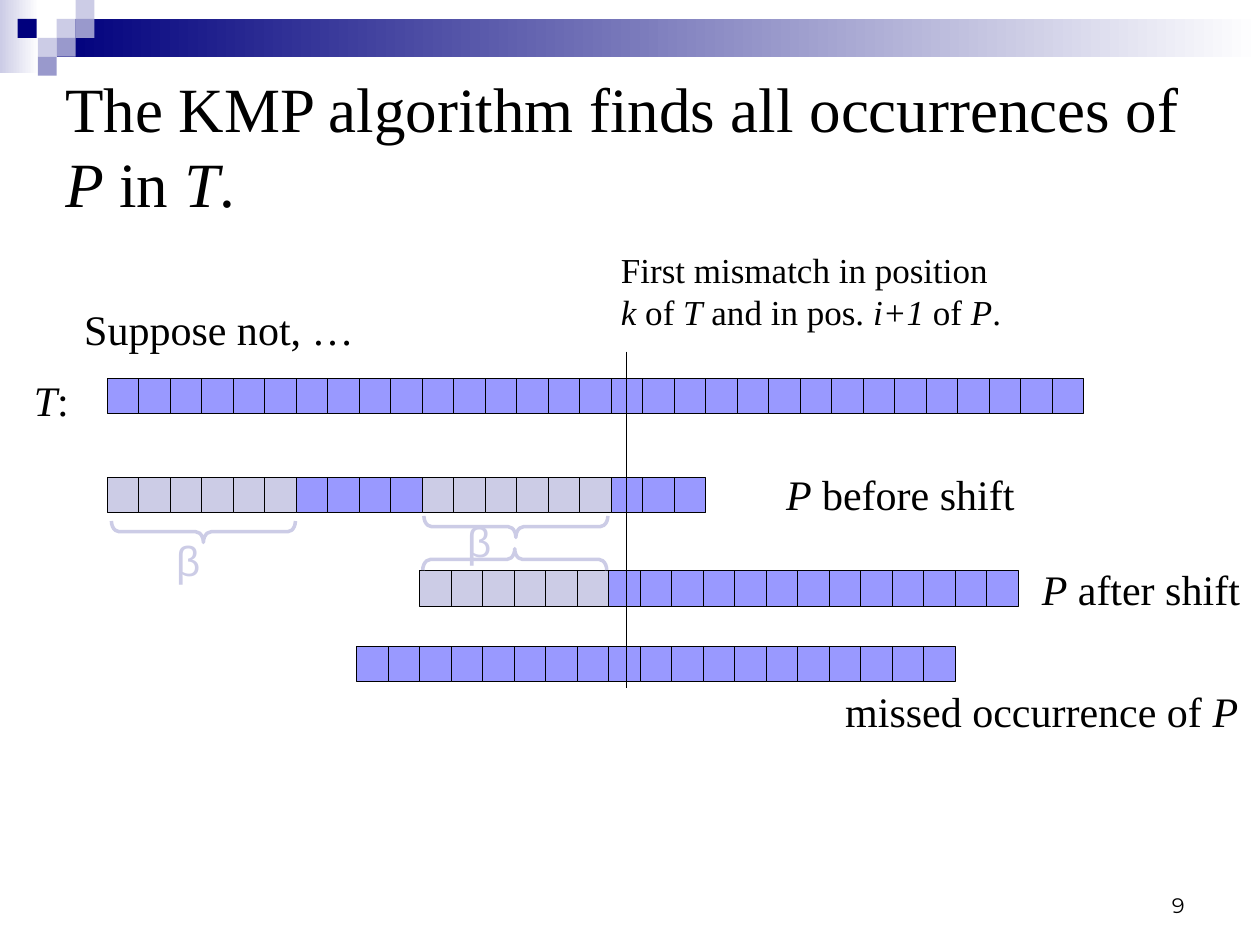
"""Build the slide showing why the KMP algorithm misses no occurrence."""
from dataclasses import dataclass
from typing import Optional

from lxml.etree import SubElement
from pptx import Presentation
from pptx.dml.color import RGBColor
from pptx.enum.shapes import MSO_CONNECTOR, MSO_SHAPE
from pptx.enum.text import MSO_ANCHOR, PP_ALIGN
from pptx.oxml.ns import qn
from pptx.util import Inches, Pt


@dataclass(frozen=True)
class Theme:
    black: str = "000000"
    white: str = "FFFFFF"
    navy: str = "00007D"
    slate: str = "9999CC"
    pale: str = "CCCCE6"
    cell: str = "9999FF"
    serif: str = "Times New Roman"
    sans: str = "Arial"
    number: str = "Montserrat"
    title_size: int = 36
    label_size: int = 24
    note_size: int = 20
    number_size: int = 12
    thin: float = 0.5
    thick: float = 2


THEME = Theme()


@dataclass(frozen=True)
class Block:
    left: float
    top: float
    width: float
    height: float
    color: str
    fade_to: Optional[str] = None
    outlined: bool = False


@dataclass(frozen=True)
class Row:
    left: float
    top: float
    colors: tuple


@dataclass(frozen=True)
class Brace:
    left: float
    top: float
    rotation: int


@dataclass(frozen=True)
class Label:
    left: float
    top: float
    width: float
    height: float
    lines: tuple
    size: int = THEME.label_size
    font: str = THEME.serif
    color: str = THEME.black
    align: PP_ALIGN = PP_ALIGN.LEFT
    anchor: MSO_ANCHOR = MSO_ANCHOR.TOP


SQUARE = 0.15
CELL_WIDTH, CELL_HEIGHT = 0.25, 0.28
BORDER = (THEME.pale,) * 6
PATTERN_LENGTH, TEXT_LENGTH = 19, 31

BANNER = (
    Block(0, 0, 0.31, 0.58, THEME.white, THEME.pale),
    Block(0.45, 0.15, 9.55, 0.3, THEME.white, THEME.navy),
    *(Block(left, top, SQUARE, SQUARE, color) for left, top, color in (
        (0.45, 0.15, THEME.pale),
        (0.6, 0, THEME.pale),
        (0.6, 0.15, THEME.slate),
        (0.3, 0.3, THEME.pale),
        (0.14, 0.15, THEME.navy),
        (0.45, 0.3, THEME.slate),
        (0.3, 0.45, THEME.slate),
    )),
)

ROWS = (
    Row(2.83, 5.13, (THEME.cell,) * PATTERN_LENGTH),
    Row(0.85, 3.79, BORDER + (THEME.cell,) * 4 + BORDER + (THEME.cell,) * 3),
    Row(0.85, 3, (THEME.cell,) * TEXT_LENGTH),
    Row(3.33, 4.53, BORDER + (THEME.cell,) * (PATTERN_LENGTH - len(BORDER))),
)

BRACES = (Brace(4.01, 3.45, 270), Brace(4, 3.71, 90), Brace(1.53, 3.49, 270))

LABELS = (
    Label(0.42, 0.5, 9.33, 1.3,
          ("The KMP algorithm finds all occurrences of *P* in *T*.",),
          size=THEME.title_size),
    Label(6.61, 5.39, 3.39, 0.5, ("missed occurrence of *P*",)),
    Label(6.14, 3.67, 2.06, 0.5, ("*P* before shift",)),
    Label(8.17, 4.42, 1.83, 0.5, ("*P* after shift",)),
    Label(4.83, 1.92, 3.4, 0.77,
          ("First mismatch in position",
           "*k* of *T* and in pos. *i+1* of *P*."),
          size=THEME.note_size),
    *(Label(left, top, 0.38, 0.5, ("β",), font=THEME.sans, color=THEME.pale)
      for left, top in ((1.3, 4.19), (3.61, 4.04))),
    Label(0.57, 2.36, 2.4, 0.5, ("Suppose not, …",)),
    Label(0.17, 2.92, 0.52, 0.5, ("*T*:",)),
    Label(7.17, 6.83, 2.33, 0.5, ("9",), size=THEME.number_size,
          font=THEME.number, align=PP_ALIGN.RIGHT, anchor=MSO_ANCHOR.BOTTOM),
)


def rgb(color: str) -> RGBColor:
    """Turn a theme colour into an RGB value."""
    return RGBColor.from_string(color)


def draw_block(page, block: Block) -> None:
    """Draw a plain, fading or outlined rectangle."""
    shape = page.shapes.add_shape(
        MSO_SHAPE.RECTANGLE, Inches(block.left), Inches(block.top),
        Inches(block.width), Inches(block.height))
    shape.shadow.inherit = False
    if block.fade_to:
        shape.fill.gradient()
        shape.fill.gradient_angle = 180
        for stop, color, position in zip(
                shape.fill.gradient_stops, (block.color, block.fade_to), (0, 1)):
            stop.color.rgb = rgb(color)
            stop.position = position
    else:
        shape.fill.solid()
        shape.fill.fore_color.rgb = rgb(block.color)
    if block.outlined:
        shape.line.color.rgb = rgb(THEME.black)
        shape.line.width = Pt(THEME.thin)
    else:
        shape.line.fill.background()


def draw_row(page, row: Row) -> None:
    """Draw a string as a row of touching cells."""
    for index, color in enumerate(row.colors):
        draw_block(page, Block(row.left + index * CELL_WIDTH, row.top,
                               CELL_WIDTH, CELL_HEIGHT, color, outlined=True))


def draw_brace(page, brace: Brace) -> None:
    """Draw a brace turned to lie along a row."""
    shape = page.shapes.add_shape(
        MSO_SHAPE.LEFT_BRACE, Inches(brace.left), Inches(brace.top),
        Inches(0.17), Inches(1.46))
    shape.rotation = brace.rotation
    shape.adjustments[0] = 0.36
    shape.shadow.inherit = False
    shape.fill.background()
    shape.line.color.rgb = rgb(THEME.pale)
    shape.line.width = Pt(THEME.thick)


def draw_mismatch_line(page) -> None:
    """Draw the vertical line through the mismatch position."""
    line = page.shapes.add_connector(
        MSO_CONNECTOR.STRAIGHT, Inches(4.97), Inches(2.79),
        Inches(4.97), Inches(5.46))
    line.line.color.rgb = rgb(THEME.black)
    line.line.width = Pt(THEME.thin)
    SubElement(line.element.spPr, qn("a:effectLst"))


def draw_label(page, label: Label) -> None:
    """Draw a text box, setting parts between asterisks in italics."""
    box = page.shapes.add_textbox(
        Inches(label.left), Inches(label.top),
        Inches(label.width), Inches(label.height))
    frame = box.text_frame
    frame.word_wrap = True
    frame.vertical_anchor = label.anchor
    for index, line in enumerate(label.lines):
        para = frame.add_paragraph() if index else frame.paragraphs[0]
        para.alignment = label.align
        para.font.name = label.font
        para.font.size = Pt(label.size)
        para.font.color.rgb = rgb(label.color)
        for position, part in enumerate(line.split("*")):
            if part:
                span = para.add_run()
                span.text = part
                span.font.italic = position % 2 == 1


def main() -> None:
    """Build and save the deck."""
    deck = Presentation()
    deck.slide_width, deck.slide_height = Inches(10), Inches(7.5)
    page = deck.slides.add_slide(deck.slide_layouts[6])
    for block in BANNER:
        draw_block(page, block)
    for row in ROWS:
        draw_row(page, row)
    draw_mismatch_line(page)
    for label in LABELS:
        draw_label(page, label)
    for brace in BRACES:
        draw_brace(page, brace)
    deck.save("out.pptx")


if __name__ == "__main__":
    main()
